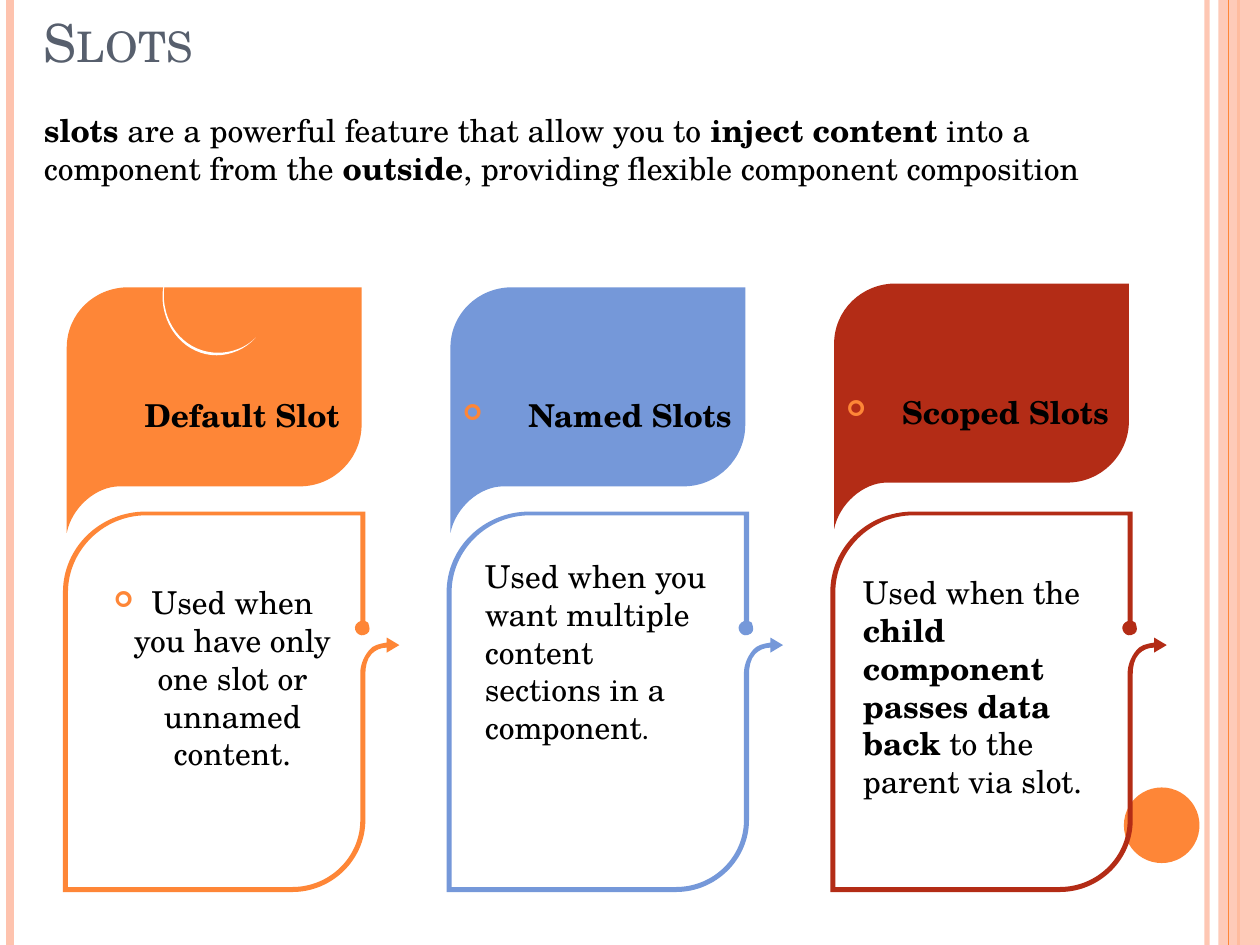
from lxml import etree
from pptx import Presentation, util as u
from pptx.dml.color import RGBColor
from pptx.enum import shapes, text
from pptx.oxml.ns import qn

# Theme
THEME = dict(font="TeX Gyre Schola", alt="Calibri", title=30, body=18, dot=16,
             slate="575F6D", ink="000000", paper="FFFFFF",
             orange="FE8637", blue="7598D9", red="B32C16", peach="FEC3AE")

# Content: ** switches bold on and off
TITLE = "Slots"
INTRO = ("**slots** are a powerful feature that allow you to **inject content** "
         "into a component from the **outside**, providing flexible component composition")
CARDS = [
    dict(name="Default Slot", hue="orange", lift=0, pad=0.52, mark=False,
         note="Used when you have only one slot or unnamed content.",
         box=(0.58, 4.58, 2.23, 1.63)),
    dict(name="Named Slots", hue="blue", lift=0, pad=0.52, mark=True,
         note="Used when you want multiple content sections in a component.",
         box=(3.75, 4.36, 2, 1.62)),
    dict(name="Scoped Slots", hue="red", lift=0.03, pad=0.44, mark=True,
         note="Used when the **child component passes data back** to the parent via slot.",
         box=(6.75, 4.5, 2.17, 1.92)),
]
PITCH = 6.09 / 2

# Side rules: x, width, colour, opacity
RULES = [(9.58, 3, "peach", 93), (0.08, 4.5, "peach", 100), (9.83, 1.5, "orange", 100)]
INNER = (9.75, 0.75, "orange", 100)

# Outlines of the first card: two numbers make a line, six a curve
HEAD = [(1.02, 2.28), (0.75, 2.28, 0.53, 2.49, 0.53, 2.76), (0.53, 4.23),
        (0.57, 4.03, 0.76, 3.86, 0.95, 3.86), (2.38, 3.86),
        (2.65, 3.86, 2.87, 3.64, 2.87, 3.37), (2.87, 2.28)]
MOON = [(2.03, 2.68), (1.95, 2.77, 1.83, 2.82, 1.72, 2.82),
        (1.48, 2.82, 1.29, 2.61, 1.29, 2.35), (1.29, 2.23, 1.34, 2.11, 1.42, 2.02),
        (1.34, 2.11, 1.3, 2.22, 1.3, 2.34), (1.3, 2.6, 1.49, 2.8, 1.73, 2.8),
        (1.84, 2.8, 1.95, 2.76, 2.03, 2.68)]
FRAME = [(3.17, 5.12), (3.07, 5.06), (3.07, 5.1), (3.01, 5.11, 2.96, 5.12, 2.93, 5.16),
         (2.88, 5.22, 2.86, 5.29, 2.86, 5.34), (2.86, 5.34), (2.86, 5.34),
         (2.86, 5.36, 2.86, 5.37, 2.86, 5.39), (2.86, 6.51),
         (2.86, 6.8, 2.62, 7.04, 2.32, 7.04), (0.54, 7.04), (0.54, 4.7),
         (0.54, 4.37, 0.82, 4.09, 1.16, 4.09), (2.86, 4.09), (2.86, 4.93),
         (2.83, 4.94, 2.81, 4.97, 2.82, 5), (2.83, 5.03, 2.86, 5.05, 2.89, 5.04),
         (2.93, 5.03, 2.94, 5, 2.93, 4.97), (2.93, 4.95, 2.92, 4.93, 2.9, 4.93),
         (2.9, 4.06), (1.16, 4.06), (0.79, 4.06, 0.5, 4.35, 0.5, 4.7), (0.5, 7.08),
         (2.32, 7.08), (2.64, 7.08, 2.9, 6.82, 2.9, 6.51), (2.9, 5.35),
         (2.9, 5.3, 2.91, 5.23, 2.95, 5.19), (2.98, 5.16, 3.02, 5.14, 3.07, 5.14),
         (3.07, 5.18)]


def tint(name):
    return RGBColor.from_string(THEME[name])


def fade(part, alpha):
    for clr in part.iter(qn("a:srgbClr")):
        etree.SubElement(clr, qn("a:alpha")).set("val", str(alpha * 1000))


def rule(x, width, hue, alpha):
    line = slide.shapes.add_connector(shapes.MSO_CONNECTOR.STRAIGHT, u.Inches(x), 0,
                                      u.Inches(x), deck.slide_height)
    line.line.color.rgb = tint(hue)
    line.line.width = u.Pt(width)
    props = line._element.spPr
    if alpha < 100:
        fade(props, alpha)
    etree.SubElement(props, qn("a:effectLst"))


def paint(shape, hue):
    shape.shadow.inherit = False
    shape.fill.solid()
    shape.fill.fore_color.rgb = tint(hue)
    shape.line.fill.background()
    return shape


def solid(kind, box, hue):
    return paint(slide.shapes.add_shape(kind, *map(u.Inches, box)), hue)


def free(path, hue, dx=0, dy=0):
    """Draw the end points as lines, then bend the segments that have handles."""
    def place(x, y):
        return u.Inches(x + dx), u.Inches(y + dy)

    ends = [place(*seg[-2:]) for seg in path]
    pen = slide.shapes.build_freeform(*ends[0])
    pen.add_line_segments(ends[1:], close=True)
    shape = pen.convert_to_shape()
    lines = list(shape._element.iter(qn("a:lnTo")))
    for seg, line in zip(path[1:], lines):
        if len(seg) == 6:
            line.tag = qn("a:cubicBezTo")
            for n in (0, 2):
                x, y = place(*seg[n:n + 2])
                pt = etree.Element(qn("a:pt"))
                pt.set("x", str(x - shape.left))
                pt.set("y", str(y - shape.top))
                line.insert(n // 2, pt)
    return paint(shape, hue)


def indent(para, left, mark):
    props = para._p.get_or_add_pPr()
    props.set("marL", str(u.Inches(left)))
    if not mark:
        return
    props.set("indent", str(-u.Inches(left)))
    clr = etree.SubElement(props, qn("a:buClr"))
    etree.SubElement(clr, qn("a:srgbClr")).set("val", THEME["orange"])
    for tag, key, val in (("a:buSzPct", "val", "70000"),
                          ("a:buFont", "typeface", "Wingdings"),
                          ("a:buChar", "char", "¢")):
        etree.SubElement(props, qn(tag)).set(key, val)


def write(shape, words, size="body", hue="ink", anchor=text.MSO_ANCHOR.TOP,
          align=text.PP_ALIGN.LEFT):
    frame = shape.text_frame
    frame.word_wrap = True
    frame.vertical_anchor = anchor
    para = frame.paragraphs[0]
    para.alignment = align
    para.font.name = THEME["font"]
    para.font.size = u.Pt(THEME[size])
    para.font.color.rgb = tint(hue)
    for n, part in enumerate(words.split("**")):
        if part:
            run = para.add_run()
            run.text = part
            if n % 2:
                run.font.bold = True
    return para


def box(area):
    return slide.shapes.add_textbox(*map(u.Inches, area))


deck = Presentation()
deck.slide_width, deck.slide_height = u.Inches(10), u.Inches(7.5)
slide = deck.slides.add_slide(deck.slide_layouts[6])

# Side bands and disc
for item in RULES:
    rule(*item)
band = solid(shapes.MSO_SHAPE.RECTANGLE, (9.67, 0, 0.33, 7.5), "peach")
fade(band._element.spPr, 87)
rule(*INNER)
solid(shapes.MSO_SHAPE.OVAL, (8.92, 6.25, 0.6, 0.6), "orange")

# Title
head = write(box((0.25, 0, 1.92, 0.63)), TITLE, "title", "slate", text.MSO_ANCHOR.BOTTOM)
head.runs[0]._r.get_or_add_rPr().set("cap", "small")

# Cards
for n, card in enumerate(CARDS):
    tab = free(HEAD, card["hue"], n * PITCH, -card["lift"])
    tab.text_frame.margin_top = u.Inches(0.13)
    indent(tab.text_frame.paragraphs[0], card["pad"], card["mark"])
    write(tab, card["name"], anchor=text.MSO_ANCHOR.MIDDLE).font.bold = True
    if n == 0:
        free(MOON, "paper")
    free(FRAME, card["hue"], n * PITCH)

# Intro
write(box((0.25, 0.83, 9.33, 0.71)), INTRO)

# Card notes
for n, card in enumerate(CARDS):
    note = box(card["box"])
    if n == 0:
        indent(note.text_frame.paragraphs[0], 0.3, True)
        write(note, card["note"], align=text.PP_ALIGN.CENTER).space_after = u.Pt(6)
    elif n == 1:
        para = write(note, card["note"][:-1], anchor=text.MSO_ANCHOR.MIDDLE)
        stop = para.add_run()
        stop.text = card["note"][-1]
        stop.font.name, stop.font.size = THEME["alt"], u.Pt(THEME["dot"])
    else:
        write(note, card["note"])

deck.save("out.pptx")
